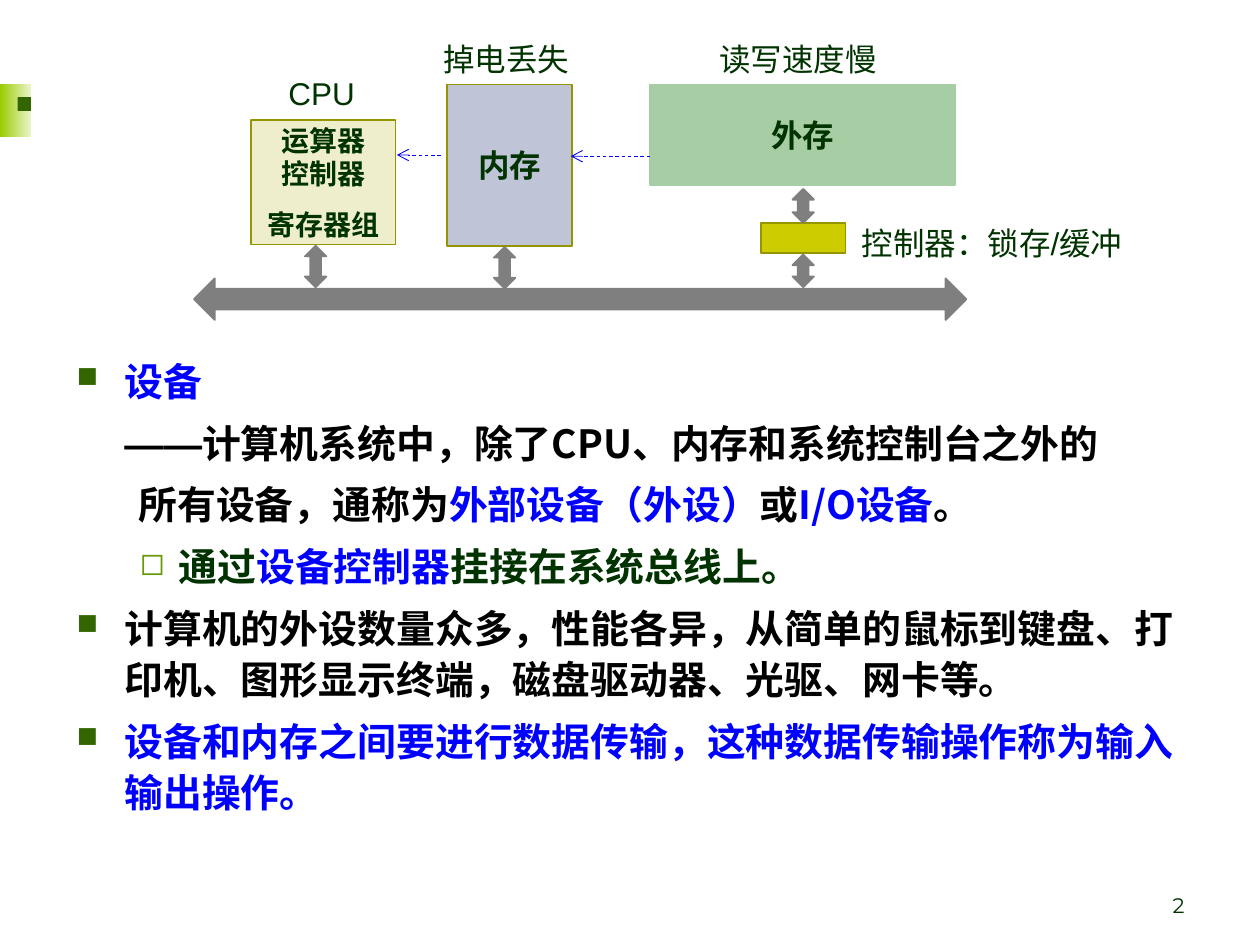
from lxml.etree import SubElement
from pptx import Presentation
from pptx.dml.color import RGBColor
from pptx.enum.dml import MSO_LINE as Dash
from pptx.enum.shapes import MSO_CONNECTOR as Conn, MSO_SHAPE as Shape
from pptx.enum.text import MSO_ANCHOR as Anchor, PP_ALIGN as Align
from pptx.oxml.ns import qn
from pptx.util import Inches, Pt

COLORS = {
    "white": "FFFFFF", "black": "000000", "text": "003300", "blue": "0000FF",
    "lime": "99CC00", "moss": "336600", "leaf": "669900", "olive": "959500",
    "cream": "EEEECC", "steel": "BFC4D7", "mint": "A7CDA4", "gold": "CCCC00",
    "gray": "7F7F7F",
}
CJK = "Noto Sans CJK SC"
UNIT = Inches(10) / 100


def rgb(name):
    """Return the named colour."""
    return RGBColor.from_string(COLORS[name])


def span(*cells):
    """Turn grid cells into lengths."""
    return [int(c * UNIT) for c in cells]


def within(box, x, y, w, h):
    """Place a part at a grid offset inside a box."""
    return span(box[0] + x, box[1] + y, w, h)


def add_run(p, text, size, color="text", bold=False, font="Arial", ea=CJK):
    """Append one formatted run."""
    r = p.add_run()
    r.text = text
    r.font.size = Pt(size)
    r.font.bold = bold
    r.font.name = font
    r.font.color.rgb = rgb(color)
    SubElement(r._r.get_or_add_rPr(), qn("a:ea"), typeface=ea)


def add_block(s, kind, place, fill, line=None):
    """Draw a filled shape with an optional outline."""
    sp = s.shapes.add_shape(kind, *place)
    sp.shadow.inherit = False
    sp.fill.solid()
    sp.fill.fore_color.rgb = rgb(fill)
    if line:
        sp.line.color.rgb = rgb(line)
        sp.line.width = Pt(1)
    else:
        sp.line.fill.background()
    return sp


def add_lines(sp, lines, size):
    """Write bold centred lines, each with its line spacing."""
    tf = sp.text_frame
    tf.word_wrap = True
    tf.vertical_anchor = Anchor.MIDDLE
    for i, (text, spacing) in enumerate(lines):
        p = tf.add_paragraph() if i else tf.paragraphs[0]
        p.alignment = Align.CENTER
        p.line_spacing = spacing
        add_run(p, text, size, bold=True)


def add_text(s, place):
    """Add a wrapping text box and return its frame."""
    tf = s.shapes.add_textbox(*place).text_frame
    tf.word_wrap = True
    return tf


def add_flow(s, box, x1, x2, y):
    """Draw a dashed arrow along one row of the box."""
    x, top, end, _ = within(box, x1, y, box[0] + x2, 0)
    c = s.shapes.add_connector(Conn.STRAIGHT, x, top, end, top)
    c.line.color.rgb = rgb("blue")
    c.line.width = Pt(0.5)
    c.line.dash_style = Dash.DASH
    SubElement(c.line._get_or_add_ln(), qn("a:tailEnd"), type="arrow")
    SubElement(c._element.spPr, qn("a:effectLst"))


def add_bullet(p, char, color, percent):
    """Give a paragraph a coloured bullet."""
    pPr = p._p.get_or_add_pPr()
    clr = SubElement(pPr, qn("a:buClr"))
    SubElement(clr, qn("a:srgbClr"), val=COLORS[color])
    SubElement(pPr, qn("a:buSzPct"), val=str(percent * 1000))
    SubElement(pPr, qn("a:buChar"), char=char)


def draw_mark(s, box):
    """Draw the edge mark."""
    sp = add_block(s, Shape.RECTANGLE, span(*box), "lime")
    sp.fill.gradient()
    sp.fill.gradient_angle = 0
    for stop, name, pos in zip(sp.fill.gradient_stops, ("lime", "white"), (0, 1)):
        stop.color.rgb = rgb(name)
        stop.position = pos
    add_block(s, Shape.RECTANGLE, within(box, 1.4, 1, 1.5, 1.1), "moss")


def draw_diagram(s, box):
    """Draw processor, memory and storage on the system bus."""
    units = [
        (Shape.RECTANGLE, (4.5, 6.8, 11.5, 9.9), "cream", "olive", 16,
         [("运算器", 1), ("控制器", 1), ("寄存器组", 1.5)]),
        (Shape.RECTANGLE, (20.1, 4, 9.9, 12.8), "steel", "olive", 18, [("内存", 1)]),
        (Shape.FLOWCHART_PROCESS, (36.2, 4, 24.2, 8), "mint", "mint", 18, [("外存", 1)]),
        (Shape.RECTANGLE, (45, 15, 6.7, 2.4), "gold", "olive", 18, []),
    ]
    for kind, cells, fill, line, size, lines in units:
        add_lines(add_block(s, kind, within(box, *cells), fill, line), lines, size)

    add_block(s, Shape.LEFT_RIGHT_ARROW, within(box, 0, 19.4, 61.3, 3.3), "gray", "gray")
    for x, y, h in [(8.8, 16.8, 3.3), (23.8, 16.9, 3.3),
                    (47.5, 17.5, 2.6), (47.5, 12.3, 2.7)]:
        add_block(s, Shape.UP_DOWN_ARROW, within(box, x, y, 1.7, h), "gray", "gray")

    for text, x, y, w in [("CPU", 6.5, 2.7, 8.3), ("掉电丢失", 18.8, 0, 12.5),
                          ("读写速度慢", 40.7, 0, 18.3),
                          ("控制器：锁存/缓冲", 52, 14.6, 25.2)]:
        add_run(add_text(s, within(box, x, y, w, 4)).paragraphs[0], text, 18)

    add_flow(s, box, 36.2, 29.9, 9.7)
    add_flow(s, box, 19.6, 16.1, 9.6)


def draw_body(s, box):
    """Write the definition and its points."""
    square, hollow = ("■", "moss", 75), ("◻", "leaf", 80)
    points = [
        (3.8, -3.8, square, [("设备", "blue")]),
        (3.8, 0, None, [("——", "black"),
                        ("计算机系统中，除了CPU、内存和系统控制台之外的", "black")]),
        (4.9, 0, None, [("所有设备，通称为", "black"), ("外部设备（外设）", "blue"),
                        ("或", "black"), ("I/O设备", "blue"), ("。", "black")]),
        (8.1, -3.1, hollow, [("通过", "text"), ("设备控制器", "blue"),
                             ("挂接在系统总线上。", "text")]),
        (3.8, -3.8, square, [("计算机的外设数量众多，性能各异，从简单的鼠标到键盘、"
                              "打印机、图形显示终端，磁盘驱动器、光驱、网卡等。", "black")]),
        (3.8, -3.8, square, [("设备和内存之间要进行数据传输，"
                              "这种数据传输操作称为输入输出操作。", "blue")]),
    ]
    tf = add_text(s, span(*box))
    for i, (left, hang, bullet, runs) in enumerate(points):
        p = tf.add_paragraph() if i else tf.paragraphs[0]
        p.line_spacing = 1.1
        p.space_before = Pt(6 if i else 0)
        pPr = p._p.get_or_add_pPr()
        pPr.set("marL", str(span(left)[0]))
        pPr.set("indent", str(span(hang)[0]))
        if bullet:
            add_bullet(p, *bullet)
        for text, color in runs:
            font = "Arial" if text == "——" else CJK
            add_run(p, text, 22.2, color, True, font, font)


def draw_number(s, box):
    """Write the page number."""
    tf = add_text(s, span(*box))
    tf.vertical_anchor = Anchor.BOTTOM
    p = tf.paragraphs[0]
    p.alignment = Align.RIGHT
    add_run(p, "2", 12, font="Montserrat")


def main():
    """Build the slide."""
    prs = Presentation()
    prs.slide_width, prs.slide_height = span(100, 75)
    s = prs.slides.add_slide(prs.slide_layouts[6])
    draw_mark(s, (0, 6.7, 3.1, 4.2))
    draw_number(s, (71.7, 68.3, 23.3, 5))
    draw_body(s, (5.1, 27.5, 91.4, 45.8))
    add_block(s, Shape.RECTANGLE, span(2.5, 1.7, 96.7, 15.8), "white", "white")
    draw_diagram(s, (15.4, 2.7, 77.2, 22.7))
    prs.save("out.pptx")


if __name__ == "__main__":
    main()
